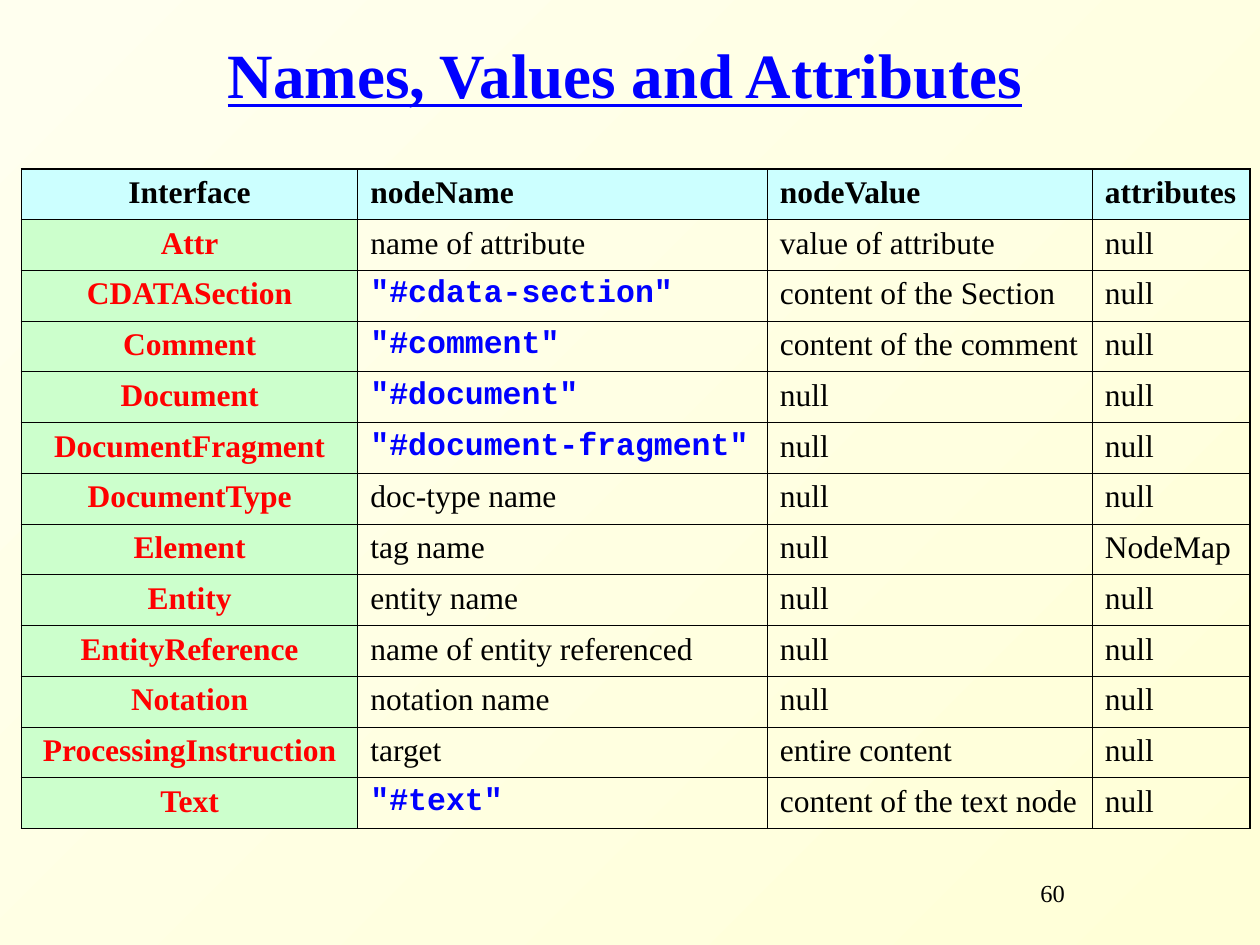
from lxml import etree
from pptx import Presentation
from pptx.dml.color import RGBColor
from pptx.enum.text import MSO_ANCHOR, PP_ALIGN
from pptx.oxml.ns import qn
from pptx.util import Inches, Pt

LEFT, CENTER = PP_ALIGN.LEFT, PP_ALIGN.CENTER
TOP, MIDDLE = MSO_ANCHOR.TOP, MSO_ANCHOR.MIDDLE
SERIF, MONO = "Times New Roman", "Courier New"
COLORS = {
    "black": "000000", "blue": "0000FF", "red": "FF0000",
    "header": "CCFFFF", "interface": "CCFFCC",
    "cream": "FFFFD7", "ivory": "FFFFEF",
}
THIN, THICK = 0.45, 1.08
COLUMN_WIDTHS = [2.67, 3.25, 2.58, 1.25]
NODES = [
    ("Interface", "nodeName", "nodeValue", "attributes"),
    ("Attr", "name of attribute", "value of attribute", "null"),
    ("CDATASection", '"#cdata-section"', "content of the Section", "null"),
    ("Comment", '"#comment"', "content of the comment", "null"),
    ("Document", '"#document"', "null", "null"),
    ("DocumentFragment", '"#document-fragment"', "null", "null"),
    ("DocumentType", "doc-type name", "null", "null"),
    ("Element", "tag name", "null", "NodeMap"),
    ("Entity", "entity name", "null", "null"),
    ("EntityReference", "name of entity referenced", "null", "null"),
    ("Notation", "notation name", "null", "null"),
    ("ProcessingInstruction", "target", "entire content", "null"),
    ("Text", '"#text"', "content of the text node", "null"),
]


def rgb(name):
    return RGBColor.from_string(COLORS[name])


def write(frame, text, size=18, font=SERIF, color="black", bold=False,
          underline=False, align=LEFT, anchor=TOP, spacing=None):
    frame.word_wrap = True
    frame.vertical_anchor = anchor
    paragraph = frame.paragraphs[0]
    paragraph.alignment = align
    if spacing:
        paragraph.line_spacing = spacing
    run = paragraph.add_run()
    run.text = text
    run.font.size = Pt(size)
    run.font.name = font
    run.font.bold = bold
    run.font.underline = underline
    run.font.color.rgb = rgb(color)


def set_borders(cell, widths):
    properties = cell._tc.get_or_add_tcPr()
    for side, width in zip("LRTB", widths):
        line = etree.SubElement(properties, qn(f"a:ln{side}"), w=str(Pt(width)))
        fill = etree.SubElement(line, qn("a:solidFill"))
        etree.SubElement(fill, qn("a:srgbClr"), val=COLORS["black"])


def paint_background(slide):
    fill = slide.background.fill
    fill.gradient()
    fill.gradient_angle = 135
    for stop, name in zip(fill.gradient_stops, ("cream", "ivory")):
        stop.color.rgb = rgb(name)


def add_title(slide, left, top, width, height):
    title = slide.shapes.add_textbox(left, top, width, height)
    write(title.text_frame, "Names, Values and Attributes", size=36, color="blue",
          bold=True, underline=True, align=CENTER, anchor=MIDDLE, spacing=0.85)


def cell_format(row, column, text):
    """Return the text format and the fill of one cell."""
    align = CENTER if column == 0 else LEFT
    if row == 0:
        return dict(bold=True, align=align), "header"
    if column == 0:
        return dict(bold=True, color="red", align=align), "interface"
    if text.startswith('"#'):
        return dict(bold=True, color="blue", font=MONO), None
    return {}, None


def add_node_table(slide, left, top, width, height):
    last_row, last_column = len(NODES) - 1, len(COLUMN_WIDTHS) - 1
    table = slide.shapes.add_table(len(NODES), len(COLUMN_WIDTHS),
                                   left, top, width, height).table
    table.first_row = table.horz_banding = False
    for column, column_width in zip(table.columns, COLUMN_WIDTHS):
        column.width = Inches(column_width)

    for r, node in enumerate(NODES):
        for c, text in enumerate(node):
            cell = table.cell(r, c)
            text_format, fill = cell_format(r, c, text)
            write(cell.text_frame, text, **text_format)
            # Thick lines around the table, thin lines inside
            outer = (c == 0, c == last_column, r == 0, r == last_row)
            set_borders(cell, [THICK if edge else THIN for edge in outer])
            if fill:
                cell.fill.solid()
                cell.fill.fore_color.rgb = rgb(fill)
            else:
                cell.fill.background()


def add_page_number(slide, left, top, width, height):
    indent = Inches(0.24)
    number = slide.shapes.add_textbox(left + indent, top, width - indent, height)
    write(number.text_frame, "60", size=14)


def main():
    presentation = Presentation()
    presentation.slide_width, presentation.slide_height = Inches(10), Inches(7.5)
    slide = presentation.slides.add_slide(presentation.slide_layouts[6])
    paint_background(slide)
    add_node_table(slide, Inches(0.17), Inches(1.34), Inches(9.75), Inches(5.24))
    add_title(slide, Inches(1), Inches(0.17), Inches(7.92), Inches(0.92))
    add_page_number(slide, Inches(7.92), Inches(6.92), Inches(2.08), Inches(0.5))
    presentation.save("out.pptx")


if __name__ == "__main__":
    main()
